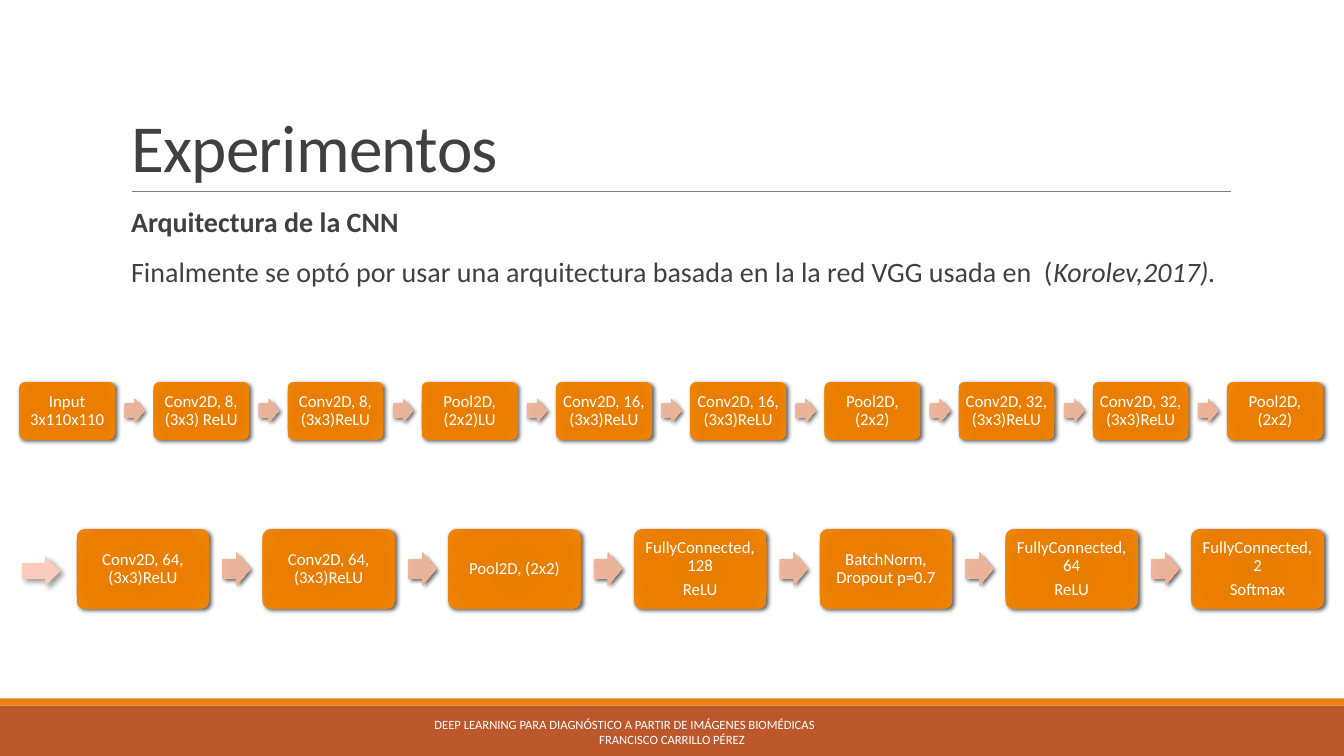
"""Build the slide describing the CNN architecture used in the experiments."""
import lxml.etree
import pptx
import pptx.dml.color
import pptx.enum.shapes
import pptx.enum.text
import pptx.oxml
import pptx.oxml.ns
import pptx.util

PX = 9144
FONT = "Calibri"
RGBColor = pptx.dml.color.RGBColor
Shapes = pptx.enum.shapes.MSO_SHAPE
Anchor = pptx.enum.text.MSO_ANCHOR
Align = pptx.enum.text.PP_ALIGN
Pt = pptx.util.Pt

WHITE = RGBColor(0xFF, 0xFF, 0xFF)
INK = RGBColor(0x40, 0x40, 0x40)
RULE_GRAY = RGBColor(0x80, 0x80, 0x80)
RUST = RGBColor(0xBD, 0x58, 0x2C)
ORANGE = RGBColor(0xE4, 0x83, 0x12)
PALE_PINK = RGBColor(0xFB, 0xCC, 0xBE)
BLOCK_STOPS = [(0, RGBColor(0xE5, 0x7B, 0x00)), (34, RGBColor(0xE8, 0x7D, 0x00)),
               (70, RGBColor(0xEB, 0x7E, 0x00)), (100, RGBColor(0xEF, 0x84, 0x07))]
ARROW_STOPS = [(0, RGBColor(0xE8, 0xB1, 0x96)), (34, RGBColor(0xE9, 0xB3, 0x99)),
               (70, RGBColor(0xEE, 0xB5, 0x9A)), (100, RGBColor(0xF3, 0xC0, 0xA8))]

CONVOLUTION_LABELS = [
    "Input 3x110x110", "Conv2D, 8, (3x3) ReLU", "Conv2D, 8, (3x3)ReLU", "Pool2D, (2x2)LU",
    "Conv2D, 16, (3x3)ReLU", "Conv2D, 16, (3x3)ReLU", "Pool2D, (2x2)",
    "Conv2D, 32, (3x3)ReLU", "Conv2D, 32, (3x3)ReLU", "Pool2D, (2x2)",
]
CLASSIFIER_LABELS = [
    "Conv2D, 64, (3x3)ReLU", "Conv2D, 64, (3x3)ReLU", "Pool2D, (2x2)",
    "FullyConnected, 128\nReLU", "BatchNorm, Dropout p=0.7",
    "FullyConnected, 64\nReLU", "FullyConnected, 2\nSoftmax",
]


def emu(*lengths):
    """Turn px lengths into EMU."""
    return [round(length * PX) for length in lengths]


def place(shape, left, top, width, height):
    """Move a shape to the given box."""
    shape.left, shape.top, shape.width, shape.height = emu(left, top, width, height)


def set_font(paragraph, size, color):
    """Apply the slide font to a paragraph."""
    paragraph.font.name = FONT
    paragraph.font.size = Pt(size)
    paragraph.font.color.rgb = color


def set_margins(frame, horizontal, vertical):
    """Set the insets of a text frame."""
    frame.margin_left, frame.margin_right = emu(horizontal, horizontal)
    frame.margin_top, frame.margin_bottom = emu(vertical, vertical)


def add_plain(slide, kind, box, color=None):
    """Add a shape without line or shadow, filled if a colour is given."""
    shape = slide.shapes.add_shape(kind, *emu(*box))
    shape.line.fill.background()
    shape.shadow.inherit = False
    if color is not None:
        shape.fill.solid()
        shape.fill.fore_color.rgb = color
    return shape


def add_glow_fill(shape, stops):
    """Fill a shape with a radial gradient."""
    stop_xml = "".join(f'<a:gs pos="{position * 1000}"><a:srgbClr val="{color}"/></a:gs>'
                       for position, color in stops)
    gradient = pptx.oxml.parse_xml(
        f'<a:gradFill {pptx.oxml.ns.nsdecls("a")} rotWithShape="1"><a:gsLst>{stop_xml}</a:gsLst>'
        '<a:path path="circle"><a:fillToRect l="100000" t="100000" r="100000" b="100000"/>'
        '</a:path></a:gradFill>')
    shape._element.spPr.find(pptx.oxml.ns.qn("a:ln")).addprevious(gradient)


def add_shadow(shape, opacity, blur, distance):
    """Cast a black shadow to the lower right."""
    shadow = pptx.oxml.parse_xml(
        f'<a:outerShdw {pptx.oxml.ns.nsdecls("a")} blurRad="{Pt(blur)}" dist="{Pt(distance)}" '
        'dir="2700000" algn="ctr" rotWithShape="0"><a:srgbClr val="000000">'
        f'<a:alpha val="{opacity * 1000}"/></a:srgbClr></a:outerShdw>')
    shape._element.spPr.find(pptx.oxml.ns.qn("a:effectLst")).append(shadow)


def fill_title(slide, left, top, width, height):
    """Write the title and draw the rule below it."""
    title = slide.shapes.title
    place(title, left, top, width, height)
    frame = title.text_frame
    frame.text = "Experimentos"
    frame.auto_size = pptx.enum.text.MSO_AUTO_SIZE.NONE
    frame.vertical_anchor = Anchor.BOTTOM
    paragraph = frame.paragraphs[0]
    paragraph.alignment = Align.LEFT
    paragraph.line_spacing = 0.85
    set_font(paragraph, 48, INK)
    paragraph.runs[0]._r.get_or_add_rPr().set("spc", "-50")
    bottom = top + height
    rule = slide.shapes.add_connector(pptx.enum.shapes.MSO_CONNECTOR.STRAIGHT,
                                      *emu(left + 11, bottom, left + width + 1, bottom))
    rule.line.color.rgb = RULE_GRAY
    rule.line.width = Pt(0.5)
    lxml.etree.SubElement(rule._element.spPr, pptx.oxml.ns.qn("a:effectLst"))


def fill_body(slide, left, top, width, height):
    """Write the heading and the sentence on the chosen network."""
    body = slide.placeholders[1]
    place(body, left, top, width, height)
    frame = body.text_frame
    frame.auto_size = pptx.enum.text.MSO_AUTO_SIZE.NONE
    set_margins(frame, 0, 5)
    frame.text = "Arquitectura de la CNN"
    heading = frame.paragraphs[0]
    sentence = frame.add_paragraph()
    sentence.add_run().text = "Finalmente se optó por usar una arquitectura basada en la la red VGG usada en  ("
    citation = sentence.add_run()
    citation.text = "Korolev,2017)."
    citation.font.italic = True
    for paragraph in (heading, sentence):
        set_font(paragraph, 20, INK)
        paragraph.line_spacing = 0.9
        paragraph.space_before = Pt(12)
        paragraph.space_after = Pt(2)
        properties = paragraph._p.get_or_add_pPr()
        properties.set("marL", str(10 * PX))
        properties.set("indent", "0")
        lxml.etree.SubElement(properties, pptx.oxml.ns.qn("a:buNone"))
        properties.append(properties.find(pptx.oxml.ns.qn("a:defRPr")))
    heading.font.bold = True


def add_layer(slide, label, box):
    """Add one labelled network layer."""
    layer = add_plain(slide, Shapes.ROUNDED_RECTANGLE, box)
    layer.adjustments[0] = 0.1
    add_glow_fill(layer, BLOCK_STOPS)
    add_shadow(layer, 60, 3, 2)
    frame = layer.text_frame
    frame.text = label
    frame.word_wrap = True
    frame.vertical_anchor = Anchor.MIDDLE
    set_margins(frame, 5, 5)
    for paragraph in frame.paragraphs:
        paragraph.alignment = Align.CENTER
        paragraph.line_spacing = 0.9
        paragraph.space_after = Pt(4.2)
        set_font(paragraph, 12, WHITE)


def add_layer_row(slide, labels, left, top, width):
    """Spread layers over a width, with an arrow in each gap."""
    layer_width = width / (1 + 1.4 * (len(labels) - 1))
    layer_height = 0.6 * layer_width
    arrow_width, arrow_height = 0.21 * layer_width, 0.25 * layer_width
    for index, label in enumerate(labels):
        layer_left = left + index * 1.4 * layer_width
        add_layer(slide, label, (layer_left, top, layer_width, layer_height))
        if index:
            arrow_top = top + (layer_height - arrow_height) / 2
            arrow = add_plain(slide, Shapes.RIGHT_ARROW, (
                layer_left - 0.3 * layer_width, arrow_top, arrow_width, arrow_height))
            arrow.adjustments[0] = 0.6
            add_glow_fill(arrow, ARROW_STOPS)
            add_shadow(arrow, 60, 3, 2)


def add_footer(slide, left, top, width, height):
    """Draw the two footer bands and the footer text."""
    add_plain(slide, Shapes.RECTANGLE, (left, top + 7, width, height - 7), RUST)
    add_plain(slide, Shapes.RECTANGLE, (left, top, width, 7), ORANGE)
    frame = slide.shapes.add_textbox(*emu(left + 403, top + 13, 527, 40)).text_frame
    frame.word_wrap = True
    frame.vertical_anchor = Anchor.MIDDLE
    frame.text = "DEEP LEARNING PARA DIAGNÓSTICO A PARTIR DE IMÁGENES BIOMÉDICAS\nFRANCISCO CARRILLO PÉREZ"
    subject, author = frame.paragraphs
    for paragraph in (subject, author):
        set_font(paragraph, 9, WHITE)
    subject.alignment = Align.LEFT
    subject._p.get_or_add_pPr().set("marL", str(18 * PX))
    author.alignment = Align.CENTER


def main():
    """Build and save the slide."""
    presentation = pptx.Presentation()
    presentation.slide_width, presentation.slide_height = emu(1333, 750)
    slide = presentation.slides.add_slide(presentation.slide_layouts[1])
    fill_title(slide, 120, 31, 1100, 159)
    fill_body(slide, 120, 202, 1100, 440)
    add_footer(slide, 0, 693, 1333, 57)
    add_layer_row(slide, CONVOLUTION_LABELS, 19, 379, 1293)
    add_layer_row(slide, CLASSIFIER_LABELS, 76, 525, 1237)
    entry_arrow = add_plain(slide, Shapes.RIGHT_ARROW, (22, 551, 38, 31), PALE_PINK)
    add_shadow(entry_arrow, 40, 4, 3)
    presentation.save("out.pptx")


if __name__ == "__main__":
    main()
